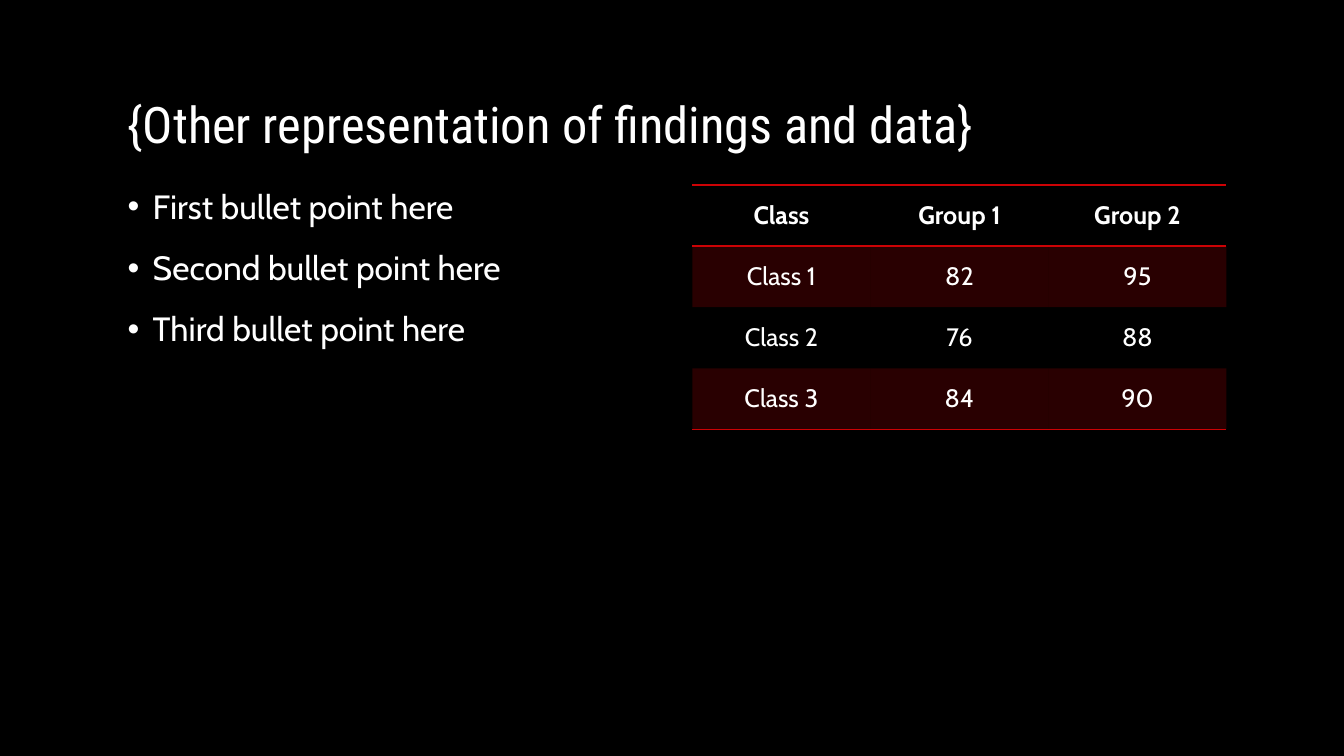
from lxml import etree
from pptx import Presentation
from pptx import util as u
from pptx.dml.color import RGBColor
from pptx.enum import text
from pptx.oxml import ns

# Content
TITLE = "{Other representation of findings and data}"
POINTS = ["First bullet point here", "Second bullet point here", "Third bullet point here"]
ROWS = [
    ("Class", "Group 1", "Group 2"),
    ("Class 1", "82", "95"),
    ("Class 2", "76", "88"),
    ("Class 3", "84", "90"),
]

# Look and layout, in cm
BLACK, WHITE, RED = "000000", "FFFFFF", "CD0205"
HEAD, BODY = "Roboto Condensed", "Cabin"
WIDE, HIGH = 33.87, 19.05
EDGE, TOP = 2.96, 4.66
FULL = WIDE - 2 * EDGE
HALF = 13.46
ROW = 1.54
PLAIN = "{2D5ABB26-0587-4C30-8999-92F81FD0307C}"  # table style without grid


def color(code):
    return RGBColor.from_string(code)


def place(shape, *box):
    shape.left, shape.top, shape.width, shape.height = map(u.Cm, box)


def write(para, words, font, size, bold=False):
    run = para.add_run()
    run.text = words
    run.font.name, run.font.size, run.font.bold = font, u.Pt(size), bold
    run.font.color.rgb = color(WHITE)


def child(parent, tag, **attrs):
    return etree.SubElement(parent, ns.qn(tag), attrs)


def rule(cell, side):
    line = child(cell._tc.get_or_add_tcPr(), "a:ln" + side, w=str(u.Pt(1)))
    child(child(line, "a:solidFill"), "a:srgbClr", val=RED)


def tint(cell):
    cell.fill.solid()
    cell.fill.fore_color.rgb = color(RED)
    shade = cell._tc.tcPr.find(ns.qn("a:solidFill"))[0]
    child(shade, "a:alpha", val="20000")


def main():
    prs = Presentation()
    prs.slide_width, prs.slide_height = u.Cm(WIDE), u.Cm(HIGH)
    slide = prs.slides.add_slide(prs.slide_layouts[1])
    slide.background.fill.solid()
    slide.background.fill.fore_color.rgb = color(BLACK)

    # Title
    title = slide.shapes.title
    place(title, EDGE, 0.85, FULL, 3.17)
    frame = title.text_frame
    frame.auto_size = text.MSO_AUTO_SIZE.NONE
    frame.vertical_anchor = text.MSO_ANCHOR.BOTTOM
    para = frame.paragraphs[0]
    para.alignment, para.line_spacing = text.PP_ALIGN.LEFT, 0.9
    write(para, TITLE, HEAD, 36)

    # Bullet list
    body = slide.placeholders[1]
    place(body, EDGE, TOP, HALF, 12.07)
    frame = body.text_frame
    frame.auto_size = text.MSO_AUTO_SIZE.NONE
    for i, point in enumerate(POINTS):
        para = frame.add_paragraph() if i else frame.paragraphs[0]
        para.line_spacing, para.space_before = 0.9, u.Pt(18)
        props = para._p.get_or_add_pPr()
        props.set("marL", str(u.Cm(0.635)))
        props.set("indent", str(-u.Cm(0.635)))
        child(props, "a:buFont", typeface="Arial")
        child(props, "a:buChar", char="•")
        write(para, point, BODY, 24)

    # Table
    last = len(ROWS) - 1
    holder = slide.shapes.add_table(
        len(ROWS), len(ROWS[0]), u.Cm(WIDE - EDGE - HALF), u.Cm(TOP), u.Cm(HALF), u.Cm(ROW * len(ROWS)))
    grid = holder.table
    grid.horz_banding = False
    grid._tbl.tblPr.find(ns.qn("a:tableStyleId")).text = PLAIN
    for r, row in enumerate(ROWS):
        for c, words in enumerate(row):
            cell = grid.cell(r, c)
            cell.vertical_anchor = text.MSO_ANCHOR.MIDDLE
            para = cell.text_frame.paragraphs[0]
            para.alignment = text.PP_ALIGN.CENTER
            write(para, words, BODY, 18, bold=r == 0)
            if r == 0:
                rule(cell, "T")
            if r in (0, last):
                rule(cell, "B")
            if r % 2:
                tint(cell)
            else:
                cell.fill.background()

    prs.save("out.pptx")


if __name__ == "__main__":
    main()
